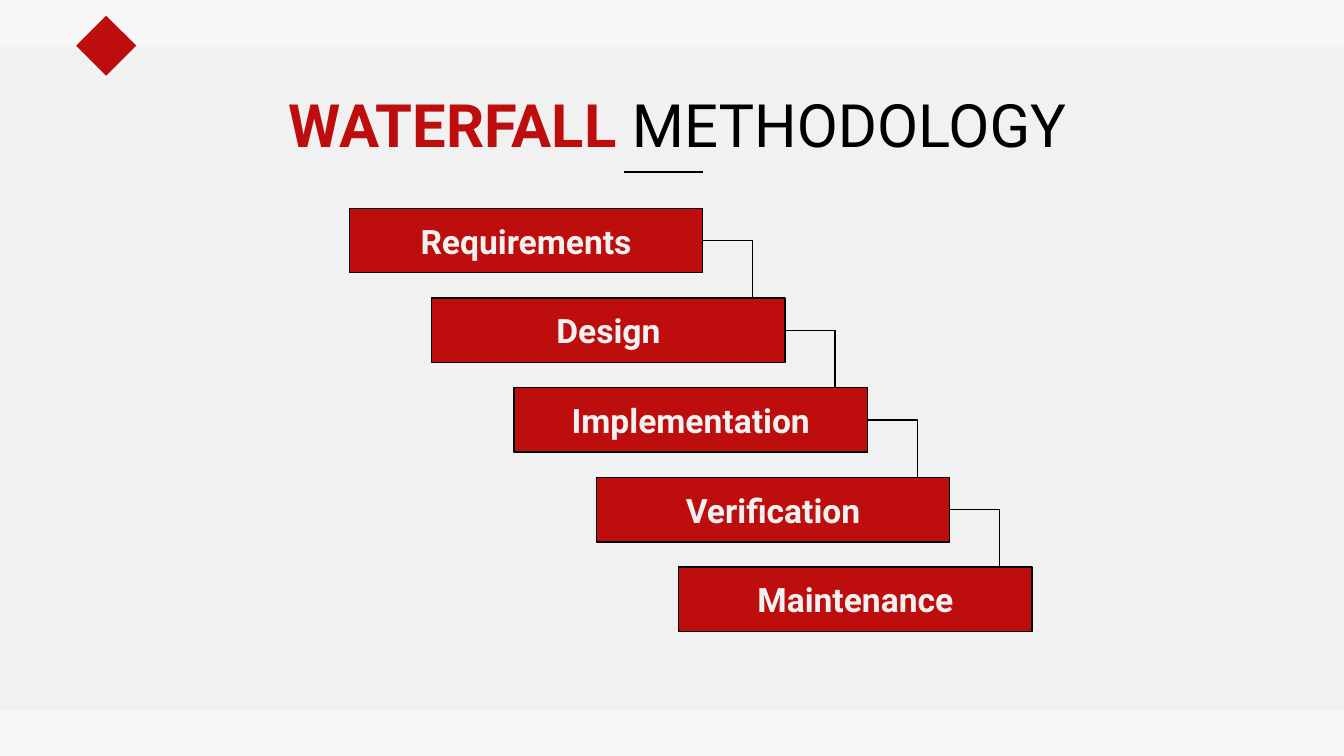
"""Build a slide showing the waterfall methodology as five descending steps."""
from pptx import Presentation
from pptx import util as u
from pptx.dml.color import RGBColor
from pptx.enum import shapes, text
from pptx.oxml.ns import qn
from pptx.oxml.xmlchemy import OxmlElement

RED = RGBColor(0xBD, 0x0D, 0x0D)
BLACK = RGBColor(0, 0, 0)
PALE = RGBColor(0xF7, 0xF7, 0xF7)
GREY = RGBColor(0xF1, 0xF1, 0xF1)
FONT = "Roboto"

STAGES = ["Requirements", "Design", "Implementation", "Verification", "Maintenance"]
LEFT, TOP = 2.6, 1.55
STEP_X, STEP_Y = 2.45 / 4, 2.67 / 4
WIDTH, HEIGHT = 2.63, 0.48
ELBOW = 0.37


def add_block(kind, left, top, width, height, fill, line=None, weight=0.75):
    block = slide.shapes.add_shape(
        kind, u.Inches(left), u.Inches(top), u.Inches(width), u.Inches(height))
    block.shadow.inherit = False
    block.fill.solid()
    block.fill.fore_color.rgb = fill
    if line is None:
        block.line.fill.background()
    else:
        block.line.color.rgb = line
        block.line.width = u.Pt(weight)
    return block


def add_link(kind, x1, y1, x2, y2):
    link = slide.shapes.add_connector(
        kind, u.Inches(x1), u.Inches(y1), u.Inches(x2), u.Inches(y2))
    link.line.color.rgb = BLACK
    link.line.width = u.Pt(0.75)
    link._element.spPr.append(OxmlElement("a:effectLst"))
    return link


prs = Presentation()
prs.slide_width, prs.slide_height = u.Inches(10), u.Inches(10) * 9 // 16
slide = prs.slides.add_slide(prs.slide_layouts[5])
slide.background.fill.solid()
slide.background.fill.fore_color.rgb = PALE

band = add_block(shapes.MSO_SHAPE.RECTANGLE, 0, 0.35, 10, 4.93, GREY)
diamond = add_block(shapes.MSO_SHAPE.DIAMOND, 0.55, 0.1, 0.48, 0.48, RED, PALE, 1.5)

title = slide.shapes.title
diamond._element.addnext(title._element)
title.left, title.top = u.Inches(0.77), u.Inches(0.55)
title.width, title.height = u.Inches(8.43), u.Inches(0.63)
heading = title.text_frame
heading.auto_size = text.MSO_AUTO_SIZE.NONE
heading.vertical_anchor = text.MSO_ANCHOR.TOP
heading.margin_left = heading.margin_right = u.Inches(0.1)
heading.margin_top = heading.margin_bottom = u.Inches(0.1)
words = heading.paragraphs[0]
words.alignment = text.PP_ALIGN.CENTER
words.font.size = u.Pt(32)
words.font.name = FONT
for wording, color, bold in [(" ", BLACK, False), ("WATERFALL ", RED, True),
                             ("METHODOLOGY", BLACK, False)]:
    word = words.add_run()
    word.text = wording
    word.font.color.rgb = color
    word.font.bold = bold

for i, stage in enumerate(STAGES):
    left, top = LEFT + i * STEP_X, TOP + i * STEP_Y
    step = add_block(shapes.MSO_SHAPE.RECTANGLE, left, top, WIDTH, HEIGHT, RED, BLACK)
    step.text_frame.vertical_anchor = text.MSO_ANCHOR.MIDDLE
    label = step.text_frame.paragraphs[0]
    label.text = stage
    label.alignment = text.PP_ALIGN.CENTER
    label.font.name = FONT
    label.font.size = u.Pt(18)
    label.font.bold = True
    label.font.color.rgb = GREY
    if i < len(STAGES) - 1:
        right = left + WIDTH
        flow = add_link(shapes.MSO_CONNECTOR.ELBOW, right, top + HEIGHT / 2,
                        right + ELBOW, top + STEP_Y)
        flow._element.spPr.find(qn("a:prstGeom")).set("prst", "bentConnector2")

underline = add_link(shapes.MSO_CONNECTOR.STRAIGHT, 4.64, 1.28, 5.23, 1.28)

prs.save("out.pptx")
